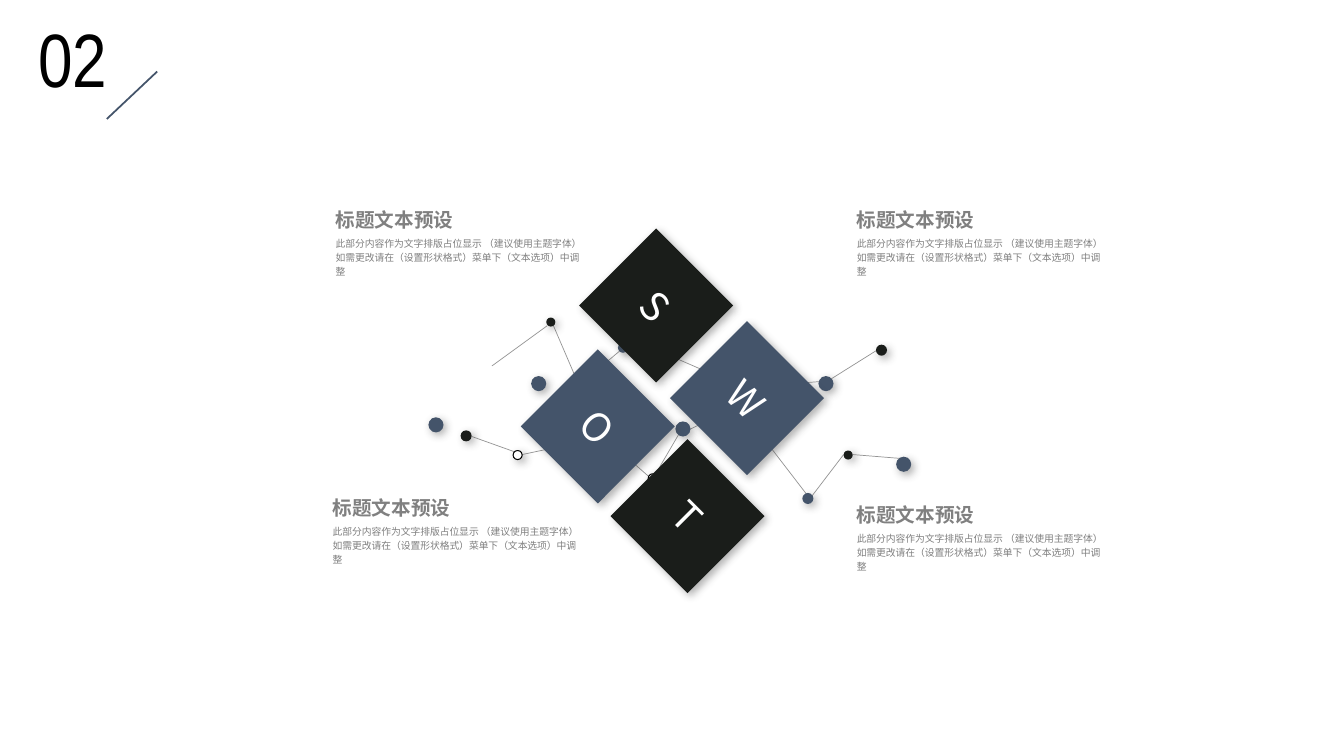
from lxml.etree import SubElement
from pptx import Presentation
from pptx.dml.color import RGBColor
from pptx.enum.shapes import MSO_CONNECTOR, MSO_SHAPE
from pptx.enum.text import MSO_ANCHOR, MSO_AUTO_SIZE, PP_ALIGN
from pptx.oxml.ns import qn
from pptx.util import Pt

BLACK, WHITE, INK, NAVY, GREY, PALE = "000000", "FFFFFF", "1A1D1A", "44546A", "808080", "BFBFBF"
SANS, THIN = "Noto Sans CJK SC", "Arial Narrow"
HEAD = "标题文本预设"
BODY = "此部分内容作为文字排版占位显示 （建议使用主题字体）如需更改请在（设置形状格式）菜单下（文本选项）中调整"

BACK = [
    (560.2, 279.4, 545.8, 310.3), (590.4, 272.2, 563, 274.3),
    (589, 273.6, 625.7, 250.6), (509, 298.8, 489.6, 308.2),
    (373, 324.7, 427, 313.2), (337, 311.8, 367.2, 322.6),
    (463.7, 340.6, 429.8, 311), (468, 339.1, 486, 308.2),
    (505.4, 265, 514.1, 296.6), (517, 295.9, 543.6, 313.2),
    (609.1, 324.7, 645.1, 327.6), (578.9, 355.7, 602.6, 324.7),
    (578.2, 355.7, 545, 312.5), (442.8, 247.7, 474.5, 249.8),
    (442.8, 250.6, 415.4, 273.6), (478.8, 254.2, 501.8, 264.2),
]
FRONT = [(351.4, 261.4, 391, 232.6), (412.6, 272.9, 395.3, 232.6)]
DOTS = [
    (625.7, 246.2, 7.9, INK), (584.6, 268.6, 10.8, NAVY),
    (602.6, 321.8, 6.5, INK), (558.7, 272.9, 7.9, INK),
    (640.1, 326.2, 10.8, NAVY), (501.8, 260.6, 6.5, WHITE),
    (573.1, 352.1, 7.9, NAVY), (537.1, 307.4, 10.8, NAVY),
    (306, 298.1, 10.8, NAVY), (379.4, 268.6, 10.8, NAVY),
    (366.5, 321.8, 6.5, WHITE), (390.2, 226.8, 6.5, INK),
    (409, 272.9, 7.9, INK), (329, 307.4, 7.9, INK),
    (473.8, 249.1, 6.5, WHITE), (441.4, 244.8, 7.2, NAVY),
    (463, 338.4, 6.5, WHITE), (455.8, 293, 8.6, NAVY),
    (427, 307.4, 10.8, NAVY), (482.4, 301, 10.8, NAVY),
    (510.5, 293, 9.4, WHITE),
]
TILES = [("W", 494.6, 245.5, NAVY), ("T", 452.2, 329.8, INK),
         ("S", 429.8, 179.3, INK), ("O", 388.1, 265.7, NAVY)]
NOTES = [(239.8, 148.3), (237.6, 354.2), (612, 359.3), (612, 148.3)]


def tint(code):
    return RGBColor.from_string(code)


class Deck:
    def __init__(self, slide):
        self.slide = slide
        self.shapes = slide.shapes

    def label(self, frame, text, size, color, font=SANS, bold=False, align=PP_ALIGN.LEFT):
        frame.text = text
        para = frame.paragraphs[0]
        para.alignment = align
        run = para.runs[0]
        run.font.size = Pt(size)
        run.font.bold = bold
        run.font.color.rgb = tint(color)
        run.font.name = font
        SubElement(run._r.get_or_add_rPr(), qn("a:ea"), typeface=font)
        return para

    def title(self, text, left, top, width, height):
        box = self.shapes.title
        box.left, box.top, box.width, box.height = Pt(left), Pt(top), Pt(width), Pt(height)
        frame = box.text_frame
        frame.word_wrap = True
        frame.auto_size = MSO_AUTO_SIZE.SHAPE_TO_FIT_TEXT
        frame.vertical_anchor = MSO_ANCHOR.TOP
        self.label(frame, text, 54, BLACK, THIN, align=PP_ALIGN.JUSTIFY)

    def link(self, ends, color=BLACK, width=0.5, alpha=None):
        line = self.shapes.add_connector(MSO_CONNECTOR.STRAIGHT, *map(Pt, ends))
        line.line.width = Pt(width)
        line.line.color.rgb = tint(color)
        prop = line._element.spPr
        if alpha:
            shade = next(prop.iter(qn("a:srgbClr")))
            SubElement(shade, qn("a:alpha"), val=str(alpha * 1000))
        SubElement(prop, qn("a:effectLst"))

    def form(self, kind, left, top, size, color):
        shape = self.shapes.add_shape(kind, Pt(left), Pt(top), Pt(size), Pt(size))
        shape.fill.solid()
        shape.fill.fore_color.rgb = tint(color)
        shape.line.fill.background()
        shape.shadow.inherit = False
        glow = SubElement(shape._element.spPr.find(qn("a:effectLst")), qn("a:outerShdw"),
                          blurRad=str(Pt(6)), dist=str(Pt(3)), dir="2700000",
                          algn="tl", rotWithShape="0")
        shade = SubElement(glow, qn("a:srgbClr"), val="404040")
        SubElement(shade, qn("a:alpha"), val="40000")
        return shape

    def dot(self, left, top, size, color):
        shape = self.form(MSO_SHAPE.OVAL, left, top, size, color)
        if color == WHITE:
            shape.line.color.rgb = tint(BLACK)
            shape.line.width = Pt(0.75)

    def tile(self, text, left, top, color):
        shape = self.form(MSO_SHAPE.RECTANGLE, left, top, 77.8, color)
        shape.rotation = 45
        shape.text_frame.vertical_anchor = MSO_ANCHOR.MIDDLE
        self.label(shape.text_frame, text, 28, WHITE, align=PP_ALIGN.CENTER)

    def text(self, group, left, top, height, words, size, bold=False, wrap=True):
        box = group.shapes.add_textbox(Pt(left), Pt(top), Pt(177.1), Pt(height))
        frame = box.text_frame
        frame.margin_left = frame.margin_right = frame.margin_top = frame.margin_bottom = 0
        frame.vertical_anchor = MSO_ANCHOR.MIDDLE
        frame.word_wrap = wrap
        return self.label(frame, words, size, GREY, bold=bold)

    def note(self, left, top):
        group = self.shapes.add_group_shape()
        self.text(group, left, top, 16.6, HEAD, 14, bold=True, wrap=False)
        self.text(group, left, top + 16.4, 36.7, BODY, 7).line_spacing = 1.2


def main():
    show = Presentation()
    show.slide_width, show.slide_height = Pt(960), Pt(540)
    deck = Deck(show.slides.add_slide(show.slide_layouts[5]))
    deck.title("02", 20.2, 5, 82.1, 72.7)
    deck.link((517, 295.9, 543.6, 313.2), PALE)
    for ends in BACK:
        deck.link(ends, alpha=41)
    for dot in DOTS:
        deck.dot(*dot)
    for ends in FRONT:
        deck.link(ends, alpha=41)
    for tile in TILES:
        deck.tile(*tile)
    deck.link((112.3, 51.1, 76.3, 85), NAVY, 1.25)
    for spot in NOTES:
        deck.note(*spot)
    show.save("out.pptx")


if __name__ == "__main__":
    main()
